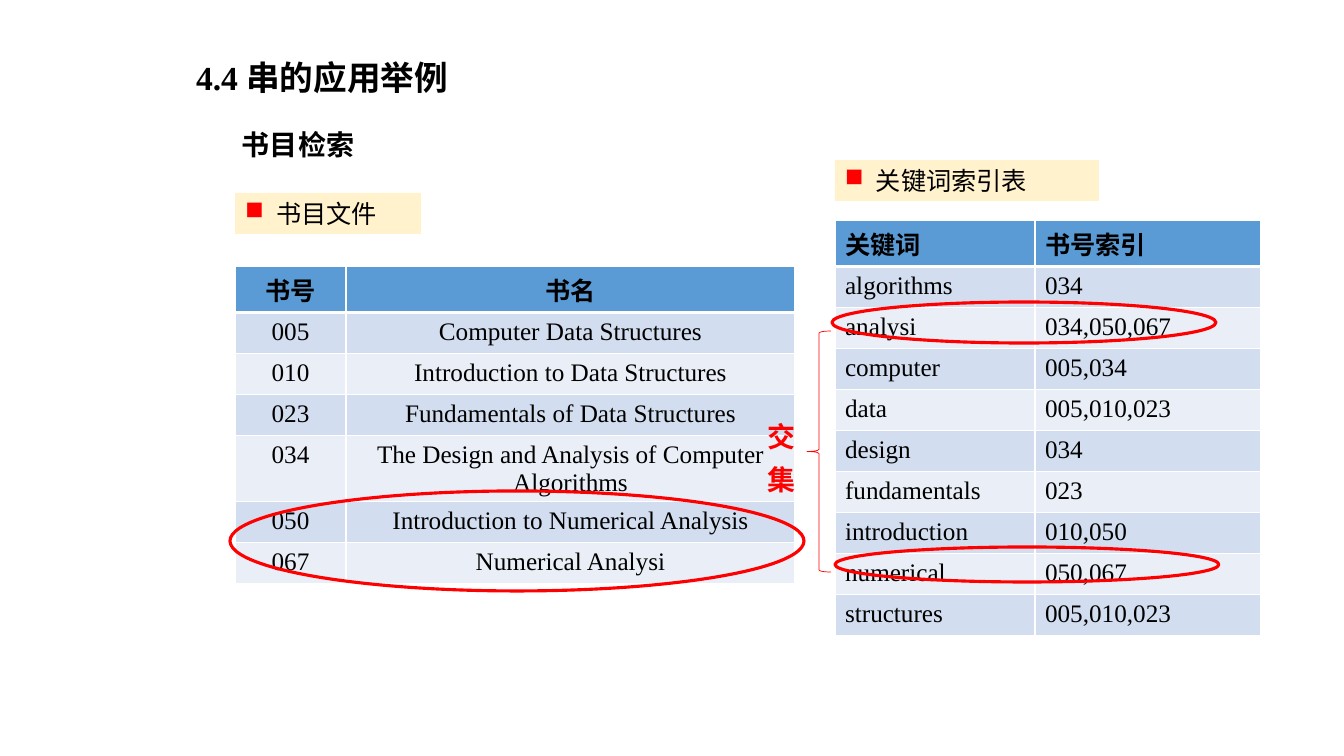
from lxml.etree import SubElement
from pptx import Presentation
from pptx.dml.color import RGBColor
from pptx.enum.shapes import MSO_SHAPE
from pptx.enum.text import MSO_ANCHOR, MSO_AUTO_SIZE, PP_ALIGN
from pptx.oxml.ns import qn
from pptx.util import Emu, Pt

COLORS = {"black": "000000", "red": "FF0000", "white": "FFFFFF", "cream": "FFF2CC",
          "header": "5B9BD5", "odd": "D2DEEF", "even": "EAEFF7"}
FONT = "Times New Roman"
EMU_PER_PX = 914400 / 100.8


def px(n):
    return Emu(round(n * EMU_PER_PX))


def rgb(name):
    return RGBColor.from_string(COLORS[name])


def write(tf, text, size=18, bold=False, color="black", align=PP_ALIGN.LEFT,
          spacing=None, bullet=None):
    p = tf.paragraphs[0]
    if bullet:
        pPr = p._p.get_or_add_pPr()
        pPr.set("marL", str(px(31)))
        pPr.set("indent", str(-px(31)))
        clr = SubElement(pPr, qn("a:buClr"))
        SubElement(clr, qn("a:srgbClr"), val=COLORS["red"])
        SubElement(pPr, qn("a:buChar"), char=bullet)
    p.alignment = align
    if spacing:
        p.line_spacing = spacing
    r = p.add_run()
    r.text = text
    f = r.font
    f.name, f.size, f.bold = FONT, Pt(size), bold
    f.color.rgb = rgb(color)


class SlideBuilder:
    def __init__(self, prs):
        self.slide = prs.slides.add_slide(prs.slide_layouts[5])
        self.shapes = self.slide.shapes

    def frame(self, sp, insets):
        tf = sp.text_frame
        tf.word_wrap = True
        tf.auto_size = MSO_AUTO_SIZE.NONE
        tf.vertical_anchor = MSO_ANCHOR.TOP
        tf.margin_left = tf.margin_right = px(insets[0])
        tf.margin_top = tf.margin_bottom = px(insets[1])
        return tf

    def title(self, text, x, y, w, h):
        sp = self.shapes.title
        sp.left, sp.top, sp.width, sp.height = map(px, (x, y, w, h))
        write(self.frame(sp, (10, 5)), text, size=24, bold=True, spacing=1.3)

    def text(self, text, x, y, w, h, **fmt):
        sp = self.shapes.add_textbox(*map(px, (x, y, w, h)))
        write(self.frame(sp, (7, 4)), text, spacing=1.3, **fmt)

    def shape(self, kind, x, y, w, h, fill=None, line=None, width=2.25):
        sp = self.shapes.add_shape(kind, *map(px, (x, y, w, h)))
        sp.shadow.inherit = False
        if fill:
            sp.fill.solid()
            sp.fill.fore_color.rgb = rgb(fill)
        else:
            sp.fill.background()
        if line:
            sp.line.color.rgb = rgb(line)
            sp.line.width = Pt(width)
        else:
            sp.line.fill.background()
        return sp

    def label(self, text, x, y, w, h):
        sp = self.shape(MSO_SHAPE.RECTANGLE, x, y, w, h, fill="cream")
        write(self.frame(sp, (10, 5)), text, align=PP_ALIGN.JUSTIFY, bullet="■")

    def borders(self, cell, bottom):
        tcPr = cell._tc.get_or_add_tcPr()
        for side, width in (("L", 1), ("R", 1), ("T", 1), ("B", bottom)):
            ln = SubElement(tcPr, qn(f"a:ln{side}"), w=str(Pt(width)))
            fill = SubElement(ln, qn("a:solidFill"))
            SubElement(fill, qn("a:srgbClr"), val=COLORS["white"])

    def table(self, rows, x, y, widths, row_h, header_h, align=PP_ALIGN.LEFT):
        h = header_h + row_h * (len(rows) - 1)
        table = self.shapes.add_table(len(rows), len(widths),
                                      *map(px, (x, y, sum(widths), h))).table
        for col, w in zip(table.columns, widths):
            col.width = px(w)
        for i, row in enumerate(rows):
            table.rows[i].height = px(row_h if i else header_h)
            fill = "header" if i == 0 else "odd" if i % 2 else "even"
            for j, value in enumerate(row):
                cell = table.cell(i, j)
                self.borders(cell, bottom=1 if i else 3)
                cell.fill.solid()
                cell.fill.fore_color.rgb = rgb(fill)
                write(cell.text_frame, value, bold=i == 0, align=align)


BOOKS = [
    ("书号", "书名"),
    ("005", "Computer Data Structures"),
    ("010", "Introduction to Data Structures"),
    ("023", "Fundamentals of Data Structures"),
    ("034", "The Design and Analysis of Computer Algorithms"),
    ("050", "Introduction to Numerical Analysis"),
    ("067", "Numerical Analysi"),
]
KEYWORDS = [
    ("关键词", "书号索引"),
    ("algorithms", "034"),
    ("analysi", "034,050,067"),
    ("computer", "005,034"),
    ("data", "005,010,023"),
    ("design", "034"),
    ("fundamentals", "023"),
    ("introduction", "010,050"),
    ("numerical", "050,067"),
    ("structures", "005,010,023"),
]


def main():
    prs = Presentation()
    prs.slide_width, prs.slide_height = px(1344), px(756)
    s = SlideBuilder(prs)

    # Headings
    s.title("4.4 串的应用举例", 186, 40, 671, 57)
    s.text("书目检索", 235, 113, 464, 47, size=20, bold=True)

    # Book file
    s.label("书目文件", 235, 193, 186, 41)
    s.table(BOOKS, 235, 266, (111, 449), 41, 41, align=PP_ALIGN.CENTER)

    # Keyword index
    s.table(KEYWORDS, 835, 220, (200, 226), 41, 40)
    s.label("关键词索引表", 835, 160, 264, 41)

    # Matching keywords and their intersection
    s.shape(MSO_SHAPE.OVAL, 832, 302, 384, 41, line="red")
    s.shape(MSO_SHAPE.OVAL, 835, 547, 384, 35, line="red")
    s.shape(MSO_SHAPE.LEFT_BRACE, 807, 331, 24, 241, line="red", width=0.5)
    s.text("交集", 761, 405, 46, 92, size=20, bold=True, color="red")
    s.shape(MSO_SHAPE.OVAL, 230, 491, 574, 100, line="red")

    prs.save("out.pptx")


if __name__ == "__main__":
    main()
